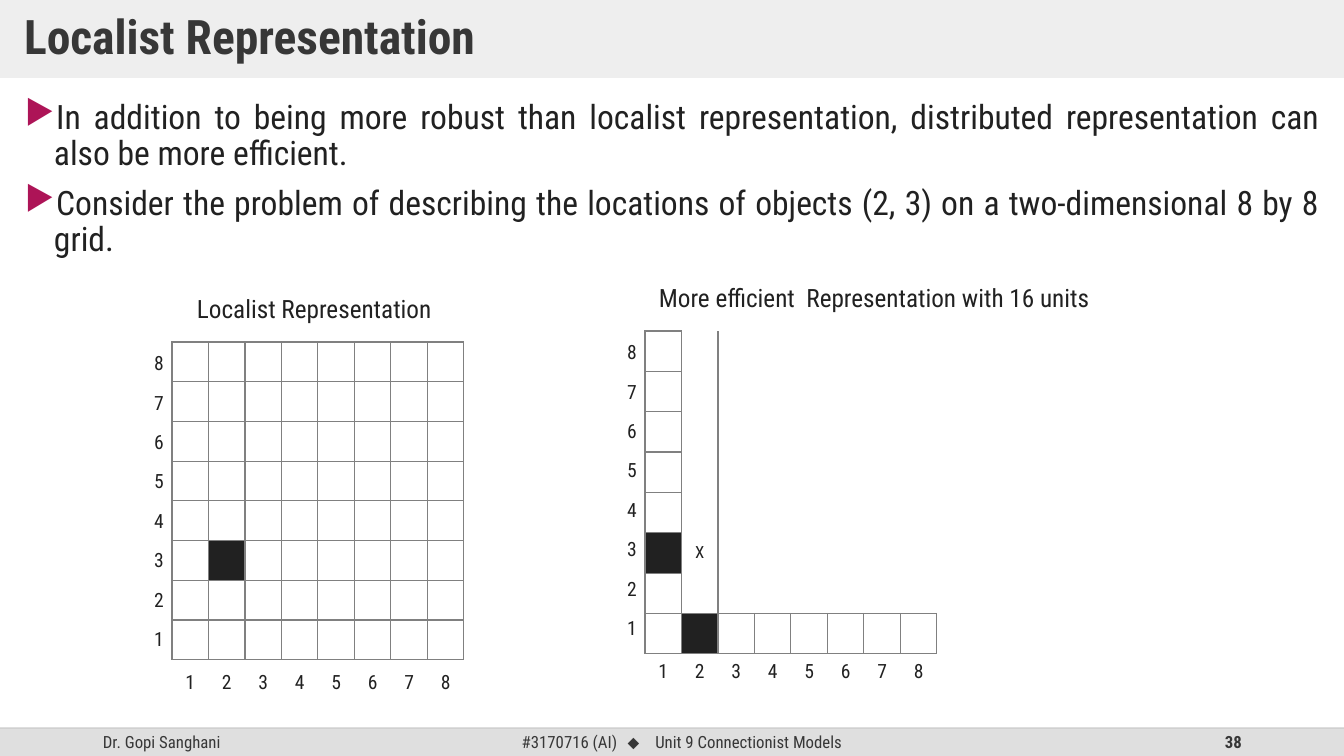
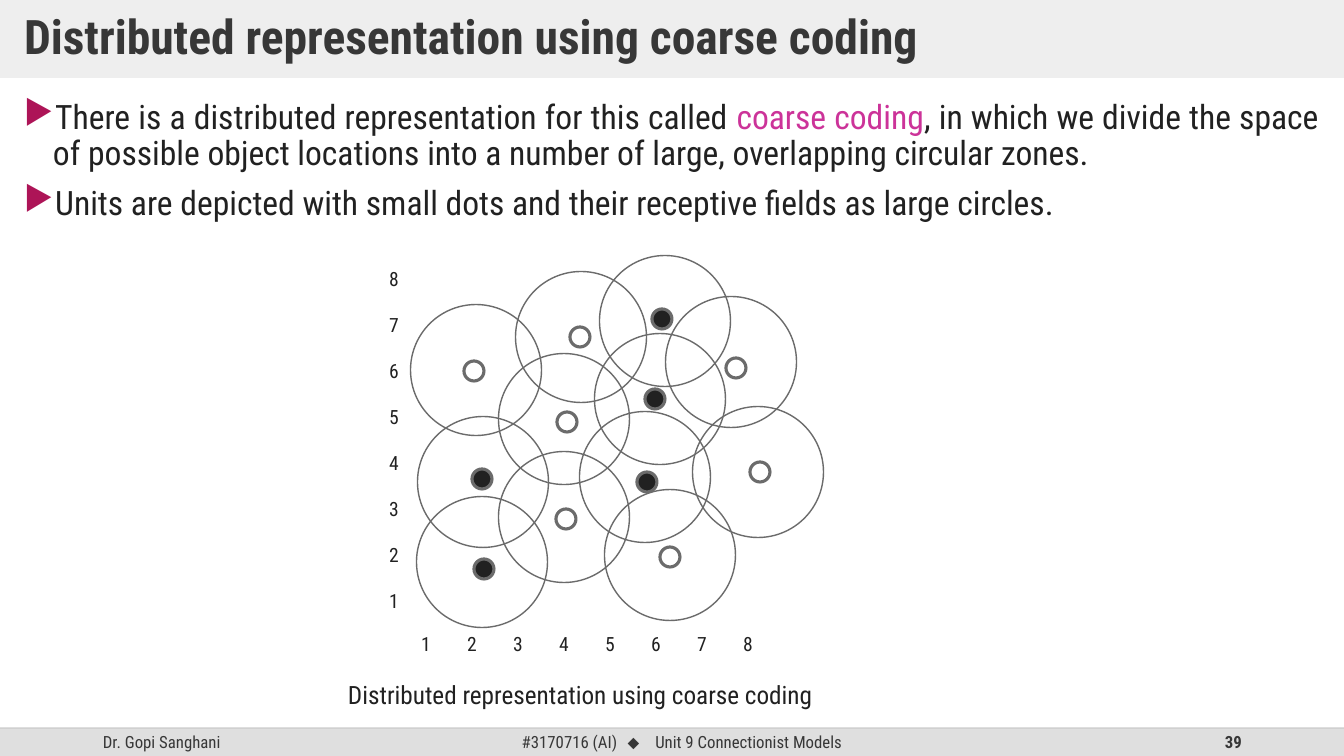
from lxml import etree
from pptx import Presentation
from pptx import util as u
from pptx.dml.color import RGBColor
from pptx.enum import shapes as kinds, text as tx
from pptx.oxml.ns import qn

PX = 12192000 / 1344  # EMU in one px
WIDTH, HEIGHT = 1344, 756
FONT = "Roboto Condensed"
COLORS = {
    "ink": "212121", "heading": "373737", "band": "DFDFDF", "rule": "BFBFBF",
    "bullet": "AD1457", "accent": "CC3399", "grid": "808080", "circle": "6B6B6B",
}
UNITS = 8  # units along each axis
NO_TABLE_STYLE = "{2D5ABB26-0587-4C30-8999-92F81FD0307C}"


def px(*lengths):
    return [u.Emu(round(length * PX)) for length in lengths]


def rgb(name):
    return RGBColor.from_string(COLORS[name])


def set_alpha(shape, percent):
    for color in shape.element.spPr.iter(qn("a:srgbClr")):
        etree.SubElement(color, qn("a:alpha")).set("val", str(percent * 1000))


def style_run(run, size, color="ink", bold=False, font=FONT):
    run.font.name, run.font.size, run.font.bold = font, u.Pt(size), bold
    run.font.color.rgb = rgb(color)


def set_insets(frame, x, y):
    frame.margin_left = frame.margin_right = px(x)[0]
    frame.margin_top = frame.margin_bottom = px(y)[0]


def add_text(slide, box, words, size, color="ink", align="LEFT", anchor="TOP", bold=False):
    frame = slide.shapes.add_textbox(*px(*box)).text_frame
    frame.word_wrap = True
    frame.vertical_anchor = getattr(tx.MSO_ANCHOR, anchor)
    set_insets(frame, 10, 5)
    line = frame.paragraphs[0]
    line.text, line.alignment = words, getattr(tx.PP_ALIGN, align)
    for run in line.runs:
        style_run(run, size, color, bold)
    return frame


def add_circle(slide, center, diameter, line_width, filled=False):
    x, y = center
    circle = slide.shapes.add_shape(
        kinds.MSO_SHAPE.OVAL,
        *px(x - diameter / 2, y - diameter / 2, diameter, diameter))
    circle.shadow.inherit = False
    if filled:
        circle.fill.solid()
        circle.fill.fore_color.rgb = rgb("ink")
    else:
        circle.fill.background()
    circle.line.color.rgb = rgb("circle")
    circle.line.width = u.Pt(line_width)


# Shared slide frame
def add_title(slide, words):
    title = slide.shapes.title
    title.left, title.top, title.width, title.height = px(0, 0, WIDTH, 78)
    title.fill.solid()
    title.fill.fore_color.rgb = rgb("band")
    set_alpha(title, 50)
    frame = title.text_frame
    frame.text = words
    frame.word_wrap = True
    frame.auto_size = tx.MSO_AUTO_SIZE.NONE
    frame.vertical_anchor = tx.MSO_ANCHOR.MIDDLE
    set_insets(frame, 24, 12)
    heading = frame.paragraphs[0]
    heading.alignment, heading.line_spacing = tx.PP_ALIGN.LEFT, 0.9
    style_run(heading.runs[0], 34, "heading", True)


def add_footer(slide, number, top=728):
    height = HEIGHT - top
    band = slide.shapes.add_shape(
        kinds.MSO_SHAPE.RECTANGLE, *px(0, top, WIDTH, height))
    band.shadow.inherit = False
    band.fill.solid()
    band.fill.fore_color.rgb = rgb("band")
    band.line.fill.background()

    add_text(slide, (93, top, 302, height), "Dr. Gopi Sanghani", 12, "heading", "LEFT", "MIDDLE")
    course = add_text(slide, (446, top, 472, height), "#3170716 (AI)", 12,
                      "heading", "CENTER", "MIDDLE").paragraphs[0]
    diamond, unit = course.add_run(), course.add_run()
    diamond.text, unit.text = " ⬥ ", "Unit 9 Connectionist Models"
    style_run(diamond, 12, "heading", font="Arial")
    diamond.font._element.set("spc", "400")  # wide gaps around the diamond
    style_run(unit, 12, "heading")
    add_text(slide, (950, top, 302, height), str(number), 12, "heading", "RIGHT", "MIDDLE", True)

    rule = slide.shapes.add_connector(
        kinds.MSO_CONNECTOR.STRAIGHT, *px(0, top, WIDTH, top))
    rule.line.color.rgb = rgb("rule")
    rule.line.width = u.Pt(1)
    set_alpha(rule, 70)
    etree.SubElement(rule.element.spPr, qn("a:effectLst"))


def add_bullets(slide, box, points):
    """Each point is a list of (words, color) parts."""
    frame = slide.shapes.add_textbox(*px(*box)).text_frame
    frame.word_wrap = True
    set_insets(frame, 10, 5)
    for i, parts in enumerate(points):
        point = frame.add_paragraph() if i else frame.paragraphs[0]
        props = point._p.get_or_add_pPr()
        indent = px(29)[0]
        props.set("marL", str(indent))
        props.set("indent", str(-indent))
        color = etree.SubElement(props, qn("a:buClr"))
        etree.SubElement(color, qn("a:srgbClr")).set("val", COLORS["bullet"])
        etree.SubElement(props, qn("a:buChar")).set("char", "▶")
        point.alignment = tx.PP_ALIGN.JUSTIFY
        point.line_spacing = 0.9
        if i:
            point.space_before = u.Pt(10)
        for words, ink in parts:
            run = point.add_run()
            run.text = words
            style_run(run, 24, ink)


def add_slide(deck, number, title, points, left):
    slide = deck.slides.add_slide(deck.slide_layouts[5])
    add_footer(slide, number)
    add_title(slide, title)
    add_bullets(slide, (left, 95, 1315, 616), points)
    return slide


# Numbers 1 to 8, evenly spaced between two centres
def add_axis(slide, first, last):
    for i in range(UNITS):
        x, y = (a + (b - a) * i / (UNITS - 1) for a, b in zip(first, last))
        add_text(slide, (x - 20, y - 17, 40, 34), str(i + 1), 14, align="CENTER")


# Unit grids
def set_borders(cell, sides):
    props = cell._tc.get_or_add_tcPr()
    for i, side in enumerate(sides):
        line = etree.Element(qn(f"a:ln{side}"), w=str(u.Pt(1)))
        fill = etree.SubElement(line, qn("a:solidFill"))
        etree.SubElement(fill, qn("a:srgbClr")).set("val", COLORS["grid"])
        props.insert(i, line)


def add_grid(slide, box, shown, active, mark=None):
    """Draw the units in shown; positions are (column, row) from bottom left."""
    x, y, width, height = box
    table = slide.shapes.add_table(UNITS, UNITS, *px(*box)).table
    table._tbl.tblPr.find(qn("a:tableStyleId")).text = NO_TABLE_STYLE
    table.first_row = table.horz_banding = False
    for i in range(UNITS):
        table.columns[i].width = px(width / UNITS)[0]
        table.rows[i].height = px(height / UNITS)[0]
    for col in range(1, UNITS + 1):
        for row in range(1, UNITS + 1):
            cell = table.cell(UNITS - row, col - 1)
            cell.margin_top = cell.margin_bottom = 0
            cell.vertical_anchor = tx.MSO_ANCHOR.MIDDLE
            if (col, row) in active:
                cell.fill.solid()
                cell.fill.fore_color.rgb = rgb("ink")
            else:
                cell.fill.background()
            # An edge is drawn when a unit lies on either side of it
            neighbors = {"L": (col - 1, row), "R": (col + 1, row),
                         "T": (col, row + 1), "B": (col, row - 1)}
            set_borders(cell, [side for side, other in neighbors.items()
                               if (col, row) in shown or other in shown])
            if (col, row) == mark:
                crossing = cell.text_frame.paragraphs[0]
                crossing.text, crossing.alignment = "X", tx.PP_ALIGN.CENTER
                style_run(crossing.runs[0], 12)


def add_grid_figure(slide, box, caption, caption_shift, caption_width, **units):
    x, y, width, height = box
    add_grid(slide, box, **units)
    half = width / UNITS / 2
    add_axis(slide, (x + half, y + 340), (x + width - half, y + 340))
    add_axis(slide, (x - 13, y + 297), (x - 13, y + 21))
    add_text(slide, (x + caption_shift, y - 54, caption_width, 40), caption, 18)


# Receptive fields: centre of field, centre of unit, active or not
FIELDS = [
    ((331, 112), (336, 118), False), ((82, 312), (84, 319), True),
    ((76, 120), (74, 121), False), ((164, 267), (166, 269), False),
    ((164, 169), (167, 172), False), ((181, 87), (180, 87), False),
    ((260, 149), (255, 149), True), ((245, 227), (247, 232), True),
    ((270, 305), (270, 307), False), ((358, 222), (360, 222), False),
    ((83, 232), (82, 229), True), ((265, 71), (262, 69), True),
]


def add_coarse_coding(slide, x, y):
    add_axis(slide, (x + 26, y + 394), (x + 348, y + 394))
    add_axis(slide, (x - 6, y + 351), (x - 6, y + 29))
    for (cx, cy), _, _ in FIELDS:
        add_circle(slide, (x + cx, y + cy), 131, 1)
    for _, (cx, cy), active in FIELDS:
        add_circle(slide, (x + cx, y + cy), 20, 2.25, active)
    add_text(slide, (x - 62, y + 424, 503, 40),
             "Distributed representation using coarse coding", 18)


def main():
    deck = Presentation()
    deck.slide_width, deck.slide_height = px(WIDTH, HEIGHT)

    localist = add_slide(deck, 38, "Localist Representation", [
        [("In addition to being more robust than localist representation, "
          "distributed representation can also be more efficient.", "ink")],
        [("Consider the problem of describing the locations of objects (2, 3) "
          "on a two-dimensional 8 by 8 grid.", "ink")],
    ], left=15)
    span = range(1, UNITS + 1)
    add_grid_figure(localist, (172, 342, 292, 318), "Localist Representation", 15, 258,
                    shown={(col, row) for col in span for row in span}, active={(2, 3)})
    add_grid_figure(localist, (645, 331, 292, 323),
                    "More efficient  Representation with 16 units", 4, 479,
                    shown={(1, i) for i in span} | {(i, 1) for i in span},
                    active={(1, 3), (2, 1)}, mark=(2, 3))

    coarse = add_slide(deck, 39, "Distributed representation using coarse coding", [
        [("There is a distributed representation for this called ", "ink"),
         ("coarse coding", "accent"),
         (", in which we divide the space of possible object locations into "
          "a number of large, overlapping circular zones.", "ink")],
        [("Units are depicted with small dots and their receptive fields as "
          "large circles.", "ink")],
    ], left=14)
    add_coarse_coding(coarse, 400, 250)

    deck.save("out.pptx")


if __name__ == "__main__":
    main()
